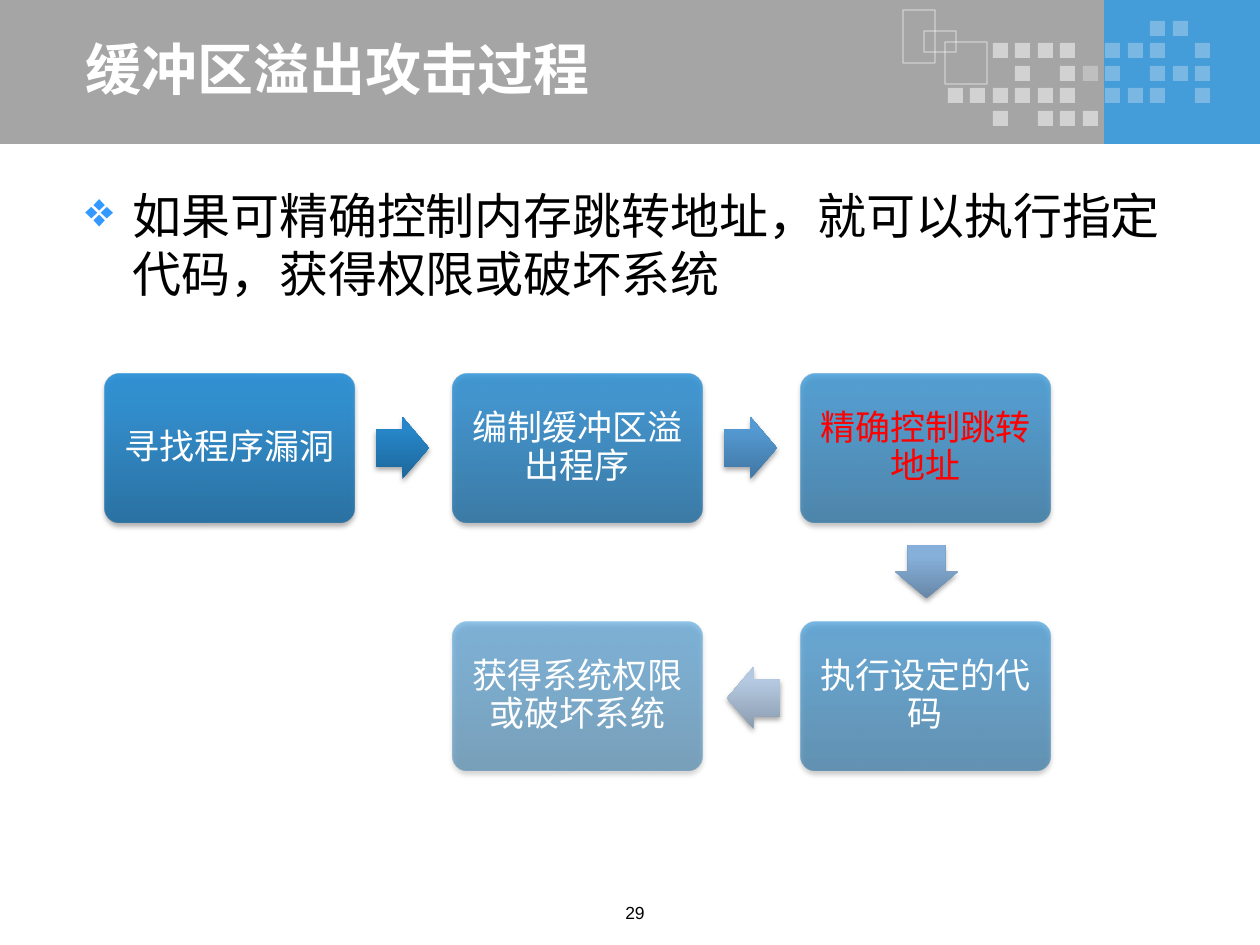
from dataclasses import dataclass

from lxml import etree
from pptx import Presentation
from pptx import util as u
from pptx.dml.color import RGBColor
from pptx.enum import shapes, text
from pptx.oxml import ns

PX = 914400 / 126


@dataclass(frozen=True)
class Theme:
    font: str = "Noto Sans CJK SC"
    number_font: str = "Arial"
    white: str = "FFFFFF"
    black: str = "000000"
    red: str = "FF0000"
    bullet: str = "3399FF"
    band: str = "A5A5A5"
    panel: str = "449CD8"
    box: tuple = ("1E6CA1", "278CD2", "248ED6")
    arrows: tuple = (
        ("1D679A", "2686C8", "2387CC"),
        ("4176A2", "5499D2", "529AD5"),
        ("6787A7", "86B0D9", "85B1DB"),
        ("8B9BAE", "B5CAE2", "B5CBE4"),
    )
    title_size: int = 32
    body_size: int = 28
    step_size: int = 20
    number_size: int = 10


def px(value):
    return u.Emu(round(value * PX))


def add(parent, tag, **attributes):
    return etree.SubElement(parent, ns.qn(tag), {k: str(v) for k, v in attributes.items()})


def add_color(parent, color, opacity=100):
    element = add(parent, "a:srgbClr", val=color)
    if opacity < 100:
        add(element, "a:alpha", val=opacity * 1000)


class Deck:
    def __init__(self, theme):
        self.theme = theme
        self.presentation = Presentation()
        self.presentation.slide_width = px(1260)
        self.presentation.slide_height = px(945)
        self.slide = self.presentation.slides.add_slide(self.presentation.slide_layouts[6])

    def shape(self, kind, left, top, width, height):
        shape = self.slide.shapes.add_shape(kind, px(left), px(top), px(width), px(height))
        shape.shadow.inherit = False
        shape.line.fill.background()
        return shape

    def rectangle(self, left, top, width, height, color, opacity=100):
        shape = self.shape(shapes.MSO_SHAPE.RECTANGLE, left, top, width, height)
        shape.fill.solid()
        shape.fill.fore_color.rgb = RGBColor.from_string(color)
        self.fade(shape.fill, shape, opacity)

    def frame(self, left, top, width, height, color, opacity):
        shape = self.shape(shapes.MSO_SHAPE.RECTANGLE, left, top, width, height)
        shape.fill.background()
        shape.line.color.rgb = RGBColor.from_string(color)
        shape.line.width = u.Pt(0.75)
        self.fade(shape.line, shape, opacity)

    def fade(self, target, shape, opacity):
        if opacity < 100:
            route = "a:ln/a:solidFill" if target is shape.line else "a:solidFill"
            color = shape._element.spPr.find(f"{route}/a:srgbClr", ns._nsmap)
            add(color, "a:alpha", val=opacity * 1000)

    def glossy(self, kind, left, top, width, height, colors, adjustments, opacity=100, rotation=0):
        shape = self.shape(kind, left, top, width, height)
        shape.rotation = rotation
        for index, value in enumerate(adjustments):
            shape.adjustments[index] = value
        properties = shape._element.spPr
        gradient = etree.Element(ns.qn("a:gradFill"), rotWithShape="0")
        stops = add(gradient, "a:gsLst")
        for position, color in zip((0, 80, 100), colors):
            add_color(add(stops, "a:gs", pos=position * 1000), color, opacity)
        add(gradient, "a:lin", ang=270 * 60000, scaled=0)
        properties.find(ns.qn("a:prstGeom")).addnext(gradient)
        shadow = add(properties.find(ns.qn("a:effectLst")), "a:outerShdw", blurRad=u.Pt(3.1),
                     dist=u.Pt(1.8), dir=90 * 60000, rotWithShape=0)
        add_color(shadow, self.theme.black, 35)

    def label(self, left, top, width, height, words, size, color, font=None, bold=False,
              align=text.PP_ALIGN.LEFT, anchor=text.MSO_ANCHOR.MIDDLE, inset=None,
              spacing=None, bullet=None):
        shape = self.slide.shapes.add_textbox(px(left), px(top), px(width), px(height))
        frame = shape.text_frame
        frame.word_wrap = True
        frame.vertical_anchor = anchor
        if inset is not None:
            frame.margin_left = frame.margin_top = px(inset)
            frame.margin_right = frame.margin_bottom = px(inset)
        paragraph = frame.paragraphs[0]
        paragraph.alignment = align
        if spacing:
            paragraph.line_spacing = spacing
        if bullet:
            properties = paragraph._p.get_or_add_pPr()
            properties.set("marL", str(px(47)))
            properties.set("indent", str(-px(47)))
            add_color(add(properties, "a:buClr"), self.theme.bullet)
            add(properties, "a:buChar", char=bullet)
        run = paragraph.add_run()
        run.text = words
        run.font.size = u.Pt(size)
        run.font.bold = bold
        run.font.color.rgb = RGBColor.from_string(color)
        run.font.name = font or self.theme.font
        add(run._r.get_or_add_rPr(), "a:ea", typeface=font or self.theme.font)

    def step(self, left, top, words, color, opacity):
        self.glossy(shapes.MSO_SHAPE.ROUNDED_RECTANGLE, left, top, 249, 149,
                    self.theme.box, (0.1,), opacity)
        self.label(left + 4, top + 4, 241, 141, words, self.theme.step_size, color,
                   align=text.PP_ALIGN.CENTER, inset=10, spacing=0.9)

    def arrow(self, left, top, colors, rotation):
        self.glossy(shapes.MSO_SHAPE.RIGHT_ARROW, left, top, 53, 62, colors,
                    (0.6, 0.5), rotation=rotation)


DOTS = (
    "         -- ",
    "  ++++ --- -",
    "   + +-- ---",
    "++++++ --- -",
    "  + +++     ",
)
FRAMES = ((903, 10, 32, 53), (924, 31, 32, 21), (945, 42, 42, 42))
STEPS = (
    (0, 0, "寻找程序漏洞"),
    (1, 0, "编制缓冲区溢出程序"),
    (2, 0, "精确控制跳转地址"),
    (2, 1, "执行设定的代码"),
    (1, 1, "获得系统权限或破坏系统"),
)
ARROWS = ((376, 417, 0), (724, 417, 0), (900, 541, 90), (727, 667, 180))


def main():
    theme = Theme()
    deck = Deck(theme)
    deck.rectangle(1104, 0, 156, 144, theme.panel)
    deck.rectangle(0, 0, 1104, 144, theme.band)
    for row, marks in enumerate(DOTS):
        for column, mark in enumerate(marks):
            if mark != " ":
                deck.rectangle(948 + column * 45 // 2, 21 + row * 45 // 2, 15, 15,
                               theme.white, 50 if mark == "+" else 29)
    for bounds in FRAMES:
        deck.frame(*bounds, theme.white, 50)

    deck.label(73, 35, 978, 67, "缓冲区溢出攻击过程", theme.title_size, theme.white, bold=True)
    deck.label(73, 179, 1129, 703,
               "如果可精确控制内存跳转地址，就可以执行指定代码，获得权限或破坏系统",
               theme.body_size, theme.black, anchor=text.MSO_ANCHOR.TOP, bullet="❖")
    deck.label(577, 896, 116, 37, "29", theme.number_size, theme.black, theme.number_font,
               align=text.PP_ALIGN.CENTER, anchor=text.MSO_ANCHOR.TOP)

    for index, (column, row, words) in enumerate(STEPS):
        color = theme.red if index == 2 else theme.white
        deck.step(105 + 348 * column, 374 + 248 * row, words, color, 90 - 10 * index)
        if index < len(ARROWS):
            left, top, rotation = ARROWS[index]
            deck.arrow(left, top, theme.arrows[index], rotation)
    deck.presentation.save("out.pptx")


if __name__ == "__main__":
    main()
